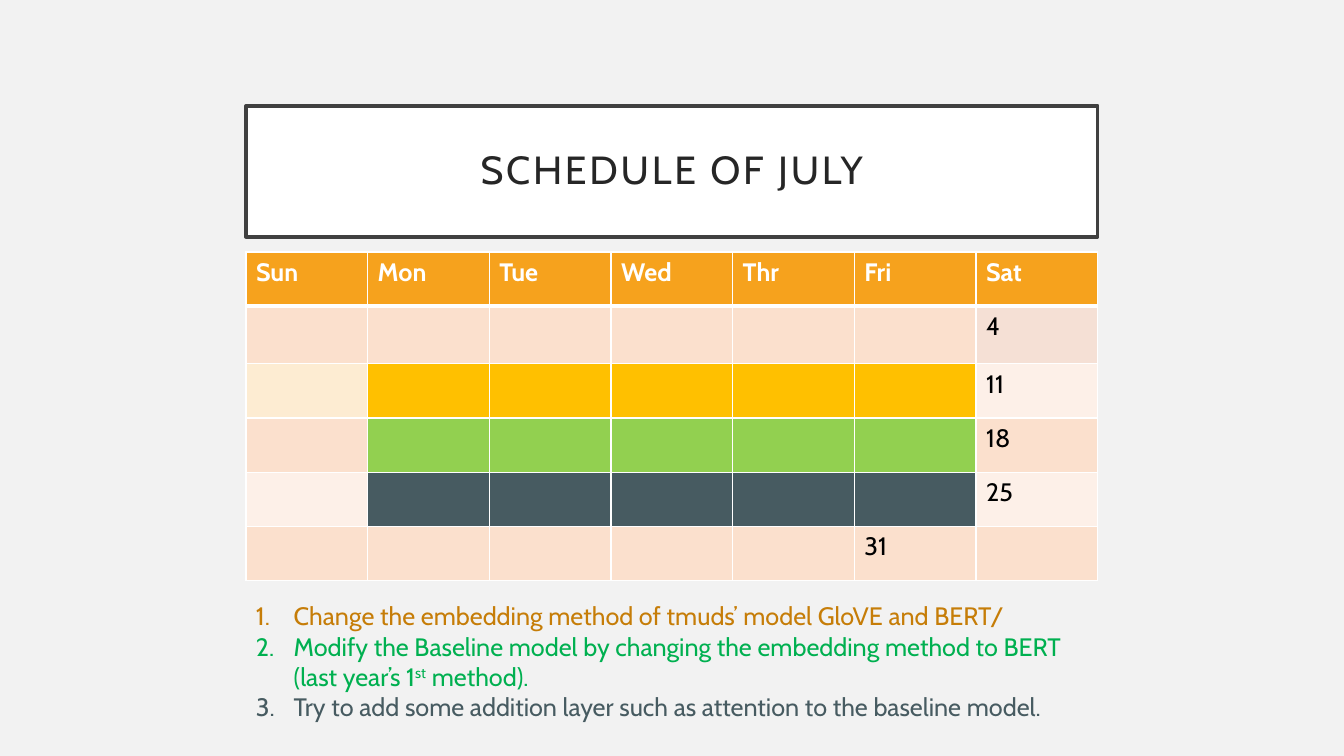
from lxml.etree import SubElement
from pptx import Presentation
from pptx.dml.color import RGBColor
from pptx.enum.text import MSO_ANCHOR as ANCHOR, MSO_AUTO_SIZE as AUTOSIZE, PP_ALIGN as ALIGN
from pptx.oxml import parse_xml
from pptx.oxml.ns import nsdecls, qn
from pptx.util import Pt


def rgb(color):
    return RGBColor.from_string(color)


def add_text(p, text, size=18, color="000000", bold=False, spacing=0, baseline=0):
    r = p.add_run()
    r.text = text
    r.font.name, r.font.size, r.font.bold = "Cabin", Pt(size), bold
    r.font.color.rgb = rgb(color)
    rPr = r.font._element
    if spacing:
        rPr.set("spc", str(spacing * 100))
    if baseline:
        rPr.set("baseline", str(baseline * 1000))


prs = Presentation()
prs.slide_width, prs.slide_height = Pt(960), Pt(540)
s = prs.slides.add_slide(prs.slide_layouts[5])
s.background.fill.solid()
s.background.fill.fore_color.rgb = rgb("F2F2F2")
LEFT, WIDTH = Pt(175.7), Pt(608.4)

# Title
title = s.shapes.title
title.left, title.top, title.width, title.height = LEFT, Pt(75.6), WIDTH, Pt(93.6)
title.fill.solid()
title.fill.fore_color.rgb = rgb("FFFFFF")
title.line.color.rgb = rgb("404040")
title.line.width = Pt(2.5)
tf = title.text_frame
tf.auto_size, tf.word_wrap, tf.vertical_anchor = AUTOSIZE.NONE, True, ANCHOR.MIDDLE
tf.margin_left = tf.margin_top = tf.margin_right = tf.margin_bottom = Pt(14.4)
p = tf.paragraphs[0]
p.alignment, p.line_spacing = ALIGN.CENTER, 0.9
add_text(p, "SCHEDULE OF JULY", size=28, color="262626", spacing=2)

# Calendar: first, middle and last fill of each week, then its dated days
days = ["Sun", "Mon", "Tue", "Wed", "Thr", "Fri", "Sat"]
weeks = [
    ("FBE0CD", "FBE0CD", "F5E0D5", {"Sat": "4"}),
    ("FDECD2", "FFC000", "FDF0E8", {"Sat": "11"}),
    ("FBE0CD", "92D050", "FBE0CD", {"Sat": "18"}),
    ("FDF0E8", "475B61", "FDF0E8", {"Sat": "25"}),
    ("FBE0CD", "FBE0CD", "FBE0CD", {"Fri": "31"}),
]
rows = [("F6A21D", "F6A21D", "F6A21D", {day: day for day in days})] + weeks
table = s.shapes.add_table(len(rows), len(days), LEFT, Pt(180), WIDTH, Pt(235)).table
table.horz_banding = False
for i, (first, middle, last, labels) in enumerate(rows):
    table.rows[i].height = Pt(41 if i == 1 else 38.8)
    for j, day in enumerate(days):
        cell = table.cell(i, j)
        cell.fill.solid()
        cell.fill.fore_color.rgb = rgb(([first] + [middle] * 5 + [last])[j])
        if day in labels:
            add_text(cell.text_frame.paragraphs[0], labels[day],
                     color="000000" if i else "FFFFFF", bold=i == 0)
        # White borders, thick between header and weeks
        widths = {"L": 1, "R": 1, "T": 3 if i == 1 else 1, "B": 1 if i else 3}
        for k, (side, width) in enumerate(widths.items()):
            cell._tc.get_or_add_tcPr().insert(k, parse_xml(
                f'<a:ln{side} {nsdecls("a")} w="{Pt(width)}"><a:solidFill>'
                f'<a:srgbClr val="FFFFFF"/></a:solidFill></a:ln{side}>'))

# Numbered tasks: colour and (text, baseline) runs
tasks = [
    ("C67D08", [("Change the embedding method of tmuds’ model GloVE and BERT/", 0)]),
    ("00B050", [("Modify the Baseline model by changing the embedding method to BERT "
                 "(last year’s 1", 0), ("st", 30), (" method).", 0)]),
    ("475B61", [("Try to add some addition layer such as attention to the "
                 "baseline model.", 0)]),
]
tf = s.shapes.add_textbox(LEFT, Pt(425.5), WIDTH, Pt(116.6)).text_frame
tf.word_wrap = True
for i, (color, runs) in enumerate(tasks):
    p = tf.add_paragraph() if i else tf.paragraphs[0]
    pPr = p._p.get_or_add_pPr()
    pPr.set("marL", str(Pt(27)))
    pPr.set("indent", str(-Pt(27)))
    SubElement(pPr, qn("a:buFont"), typeface="Cabin")
    SubElement(pPr, qn("a:buAutoNum"), type="arabicPeriod")
    for text, baseline in runs:
        add_text(p, text, color=color, baseline=baseline)

prs.save("out.pptx")
